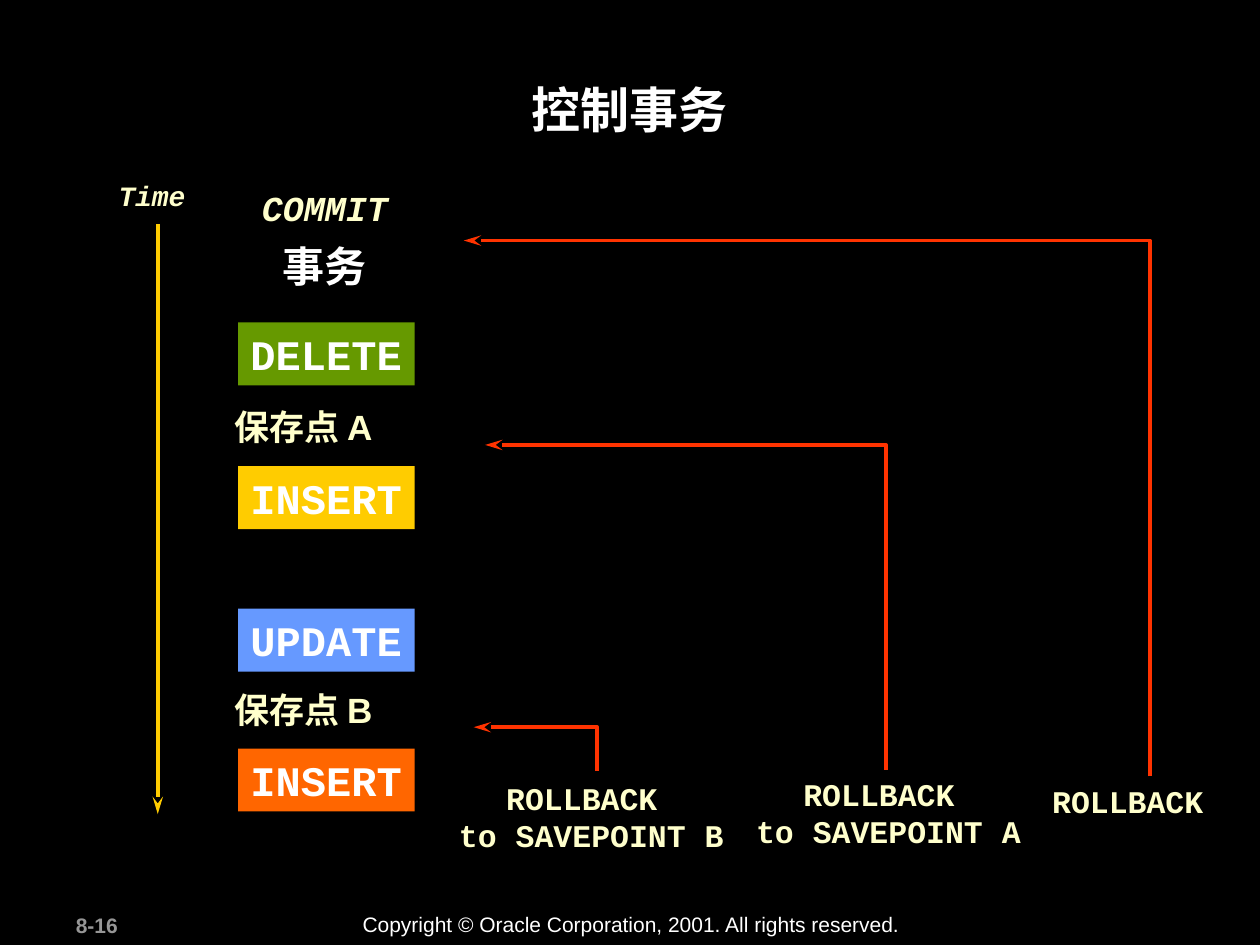
from lxml import etree
from pptx import Presentation
from pptx.dml.color import RGBColor
from pptx.enum import shapes, text
from pptx.oxml.ns import qn
from pptx.util import Cm, Pt

HUES = {"back": "000000", "white": "FFFFFF", "cream": "FFFFCC", "grey": "969696",
        "green": "669900", "gold": "FFCC00", "blue": "6699FF", "orange": "FF6600",
        "red": "FF3300"}
SANS, MONO = "Arial", "Courier New"

TITLE = "控制事务"
STEPS = [("DELETE", "green", 6.5), ("INSERT", "gold", 9.4),
         ("UPDATE", "blue", 12.27), ("INSERT", "orange", 15.09)]
POINTS = [("保存点 A", 8.05), ("保存点 B", 13.75)]
HEADS = [
    ("Time", (2.14, 3.48, 2.03, 0.94), 16, MONO, "cream", True, True),
    ("COMMIT", (5.03, 3.63, 3.61, 1.09), 20, MONO, "cream", True, True),
    ("事务", (5.44, 4.72, 2.2, 1.27), 24, SANS, "white", True, False),
]
FEET = [
    ("8-16", (1.28, 18.28, 2.67, 0.76), 12, SANS, "grey", True, False),
    ("Copyright © Oracle Corporation, 2001. All rights reserved.",
     (7.06, 18.25, 11.38, 0.76), 12, SANS, "white", False, False),
]
BACKS = [
    (["ROLLBACK ", "to SAVEPOINT B"], (9, 15.57, 5.84, 1.78), (12.04, 15.54), (9.55, 14.66)),
    (["ROLLBACK ", "to SAVEPOINT A"], (14.99, 15.49, 5.84, 1.78), (17.86, 15.52), (9.78, 8.97)),
    (["ROLLBACK"], (20.96, 15.65, 3.56, 1.02), (23.18, 15.65), (9.35, 4.85)),
]
TIME = (3.18, 4.52, 16.41)


def tint(name):
    return RGBColor.from_string(HUES[name])


def write(shape, lines, size, font, hue, bold=True, slant=False, wrap=True, center=False):
    frame = shape.text_frame
    frame.word_wrap = wrap
    frame.auto_size = text.MSO_AUTO_SIZE.NONE
    frame.vertical_anchor = text.MSO_ANCHOR.TOP
    for i, line in enumerate(lines):
        para = frame.add_paragraph() if i else frame.paragraphs[0]
        para.alignment = text.PP_ALIGN.CENTER if center else text.PP_ALIGN.LEFT
        run = para.add_run()
        run.text = line
        face = run.font
        face.name, face.size, face.bold, face.italic = font, Pt(size), bold, slant
        face.color.rgb = tint(hue)


def label(slide, lines, box, *style, **more):
    write(slide.shapes.add_textbox(*map(Cm, box)), lines, *style, **more)


def point(shape, hue):
    shape.line.color.rgb = tint(hue)
    shape.line.width = Pt(2)
    tip = etree.SubElement(shape.line._get_or_add_ln(), qn("a:tailEnd"))
    tip.set("type", "stealth")
    tip.set("len", "lg")


def main():
    deck = Presentation()
    deck.slide_width, deck.slide_height = Cm(25.4), Cm(19.05)
    slide = deck.slides.add_slide(deck.slide_layouts[5])
    slide.background.fill.solid()
    slide.background.fill.fore_color.rgb = tint("back")

    title = slide.shapes.title
    title.left, title.top, title.width, title.height = map(Cm, (2.4, 1.47, 20.57, 2.44))
    write(title, [TITLE], 28, SANS, "white", center=True)

    for words, box, *style in HEADS + FEET:
        label(slide, [words], box, *style, wrap=False)
    for words, top in POINTS:
        label(slide, [words], (4.47, top, 5.69, 1.09), 20, SANS, "cream")

    for words, hue, top in STEPS:
        step = slide.shapes.add_shape(
            shapes.MSO_SHAPE.RECTANGLE, Cm(4.8), Cm(top), Cm(3.56), Cm(1.27))
        step.shadow.inherit = False
        step.fill.solid()
        step.fill.fore_color.rgb = tint(hue)
        step.line.fill.background()
        write(step, [words], 24, MONO, "white", wrap=False)

    x, top, end = map(Cm, TIME)
    axis = slide.shapes.add_connector(shapes.MSO_CONNECTOR.STRAIGHT, x, top, x, end)
    point(axis, "gold")
    etree.SubElement(axis._element.spPr, qn("a:effectLst"))

    for lines, box, start, tip in BACKS:
        label(slide, lines, box, 18, MONO, "cream", wrap=False, center=len(lines) > 1)
        x, low, left, high = map(Cm, start + tip)
        path = slide.shapes.build_freeform(x, low)
        path.add_line_segments([(x, high), (left, high)], close=False)
        bend = path.convert_to_shape()
        bend.fill.background()
        point(bend, "red")
        bend.shadow.inherit = False

    deck.save("out.pptx")


if __name__ == "__main__":
    main()
